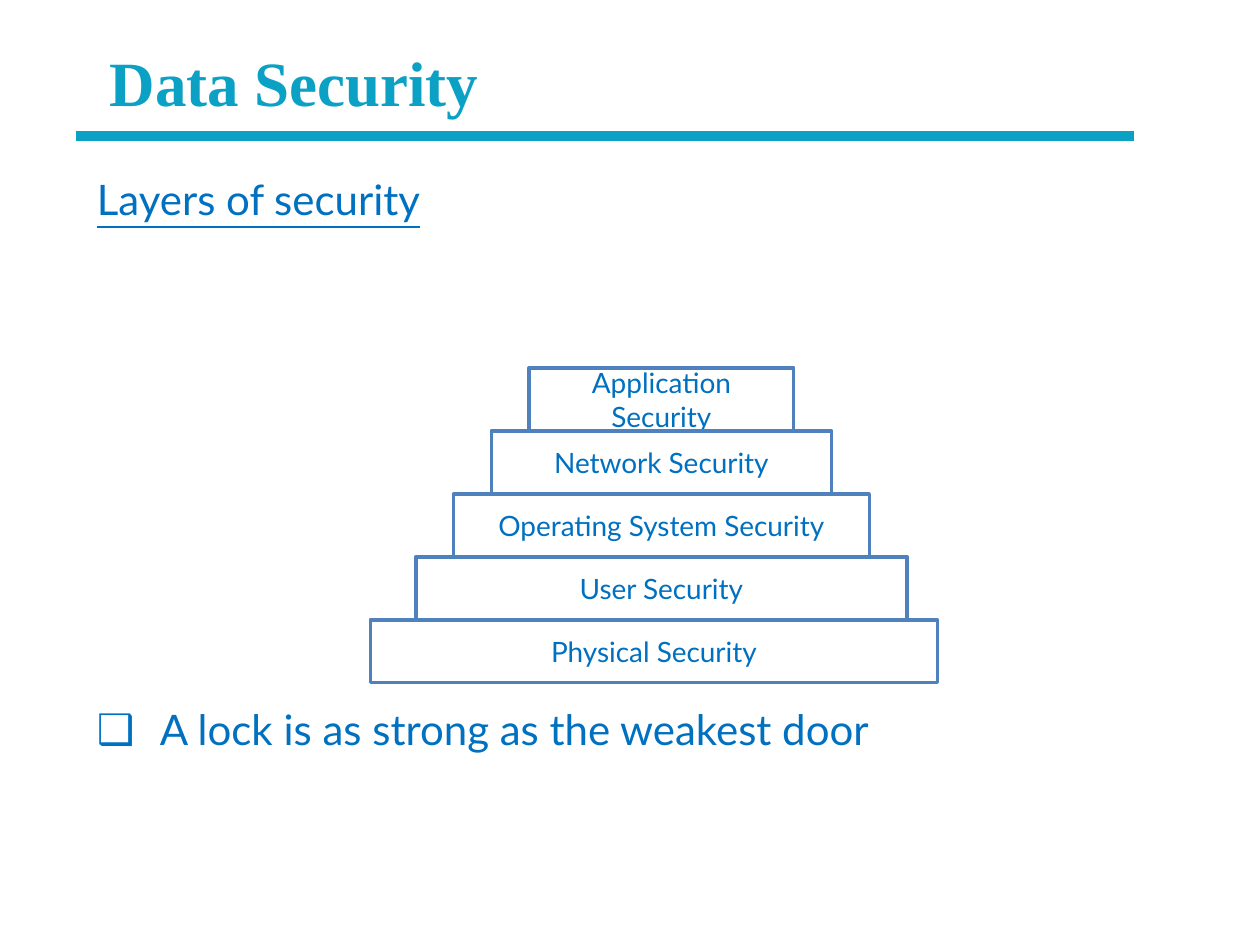
import pptx
import pptx.dml.color
import pptx.enum.shapes
import pptx.enum.text
import pptx.oxml.ns
import pptx.util
from lxml import etree

Pt = pptx.util.Pt
RGBColor = pptx.dml.color.RGBColor
ALIGN = pptx.enum.text.PP_ALIGN
ANCHOR = pptx.enum.text.MSO_ANCHOR
qn = pptx.oxml.ns.qn

TEAL = RGBColor(0x0A, 0xA1, 0xC5)
BLUE = RGBColor(0x00, 0x70, 0xC0)
OUTLINE = RGBColor(0x4F, 0x81, 0xBD)
WHITE = RGBColor(0xFF, 0xFF, 0xFF)

TITLE = "Data Security"
HEADING = "Layers of security"
BULLET = "A lock is as strong as the weakest door"
# Layer name and horizontal centre, from the top of the pyramid down
LAYERS = [
    ("Application Security", 378),
    ("Network Security", 378),
    ("Operating System Security", 378),
    ("User Security", 378),
    ("Physical Security", 373.7),
]
PYRAMID_TOP, LAYER_HEIGHT = 210.2, 36
TOP_WIDTH, WIDTH_STEP = 151.2, 43.2
PYRAMID_GAP = 273.6  # space between heading and bullet


def place(shape, left, top, width, height):
    shape.left, shape.top = Pt(left), Pt(top)
    shape.width, shape.height = Pt(width), Pt(height)


def set_frame(frame, anchor, insets):
    """Insets are left, top, right and bottom."""
    frame.word_wrap = True
    frame.auto_size = pptx.enum.text.MSO_AUTO_SIZE.NONE
    frame.vertical_anchor = anchor
    frame.margin_left, frame.margin_top, frame.margin_right, frame.margin_bottom = map(Pt, insets)


def write(paragraph, text, *, size, font="Lato", color=BLUE, align=ALIGN.CENTER,
          bold=False, underline=False, before=0, bullet=None, indent=0):
    paragraph.text = text
    paragraph.alignment = align
    paragraph.space_before = Pt(before)
    properties = paragraph._p.get_or_add_pPr()
    properties.set("marL", str(Pt(indent)))
    properties.set("indent", str(-Pt(indent)))
    if bullet:
        etree.SubElement(properties, qn("a:buFont"), typeface="Lato")
        etree.SubElement(properties, qn("a:buChar"), char=bullet)
    else:
        etree.SubElement(properties, qn("a:buNone"))
    run_font = paragraph.runs[0].font
    run_font.name, run_font.size = font, Pt(size)
    run_font.bold, run_font.underline = bold, underline
    run_font.color.rgb = color


def add_rule(slide):
    rule = slide.shapes.add_connector(
        pptx.enum.shapes.MSO_CONNECTOR.STRAIGHT, Pt(43.2), Pt(77.8), Pt(648), Pt(77.8))
    rule.line.color.rgb = TEAL
    rule.line.width = Pt(5.5)
    etree.SubElement(rule._element.spPr, qn("a:effectLst"))


def add_layer(slide, name, left, top, width):
    layer = slide.shapes.add_shape(
        pptx.enum.shapes.MSO_SHAPE.RECTANGLE, Pt(left), Pt(top), Pt(width), Pt(LAYER_HEIGHT))
    layer.shadow.inherit = False
    layer.fill.solid()
    layer.fill.fore_color.rgb = WHITE
    layer.line.color.rgb = OUTLINE
    layer.line.width = Pt(2)
    set_frame(layer.text_frame, ANCHOR.MIDDLE, (7.2, 3.6, 7.2, 3.6))
    write(layer.text_frame.paragraphs[0], name, size=16)


def main():
    presentation = pptx.Presentation()
    presentation.slide_width, presentation.slide_height = Pt(720), Pt(540)
    slide = presentation.slides.add_slide(presentation.slide_layouts[1])

    title, body = slide.placeholders
    place(title, 48.2, 12.2, 660, 68.4)
    set_frame(title.text_frame, ANCHOR.MIDDLE, (14.4, 3.6, 7.2, 3.6))
    write(title.text_frame.paragraphs[0], TITLE, size=36, font="Times New Roman",
          color=TEAL, align=ALIGN.LEFT, bold=True)

    place(body, 48.2, 92.2, 660, 435.6)
    set_frame(body.text_frame, ANCHOR.TOP, (7.2, 7.2, 28.8, 7.2))
    write(body.text_frame.paragraphs[0], HEADING, size=24, align=ALIGN.JUSTIFY, underline=True)
    write(body.text_frame.add_paragraph(), BULLET, size=24, align=ALIGN.JUSTIFY,
          before=PYRAMID_GAP, bullet="❑", indent=36)

    add_rule(slide)
    for row, (name, centre) in enumerate(LAYERS):
        width = TOP_WIDTH + row * WIDTH_STEP
        add_layer(slide, name, centre - width / 2, PYRAMID_TOP + row * LAYER_HEIGHT, width)

    presentation.save("out.pptx")


if __name__ == "__main__":
    main()
